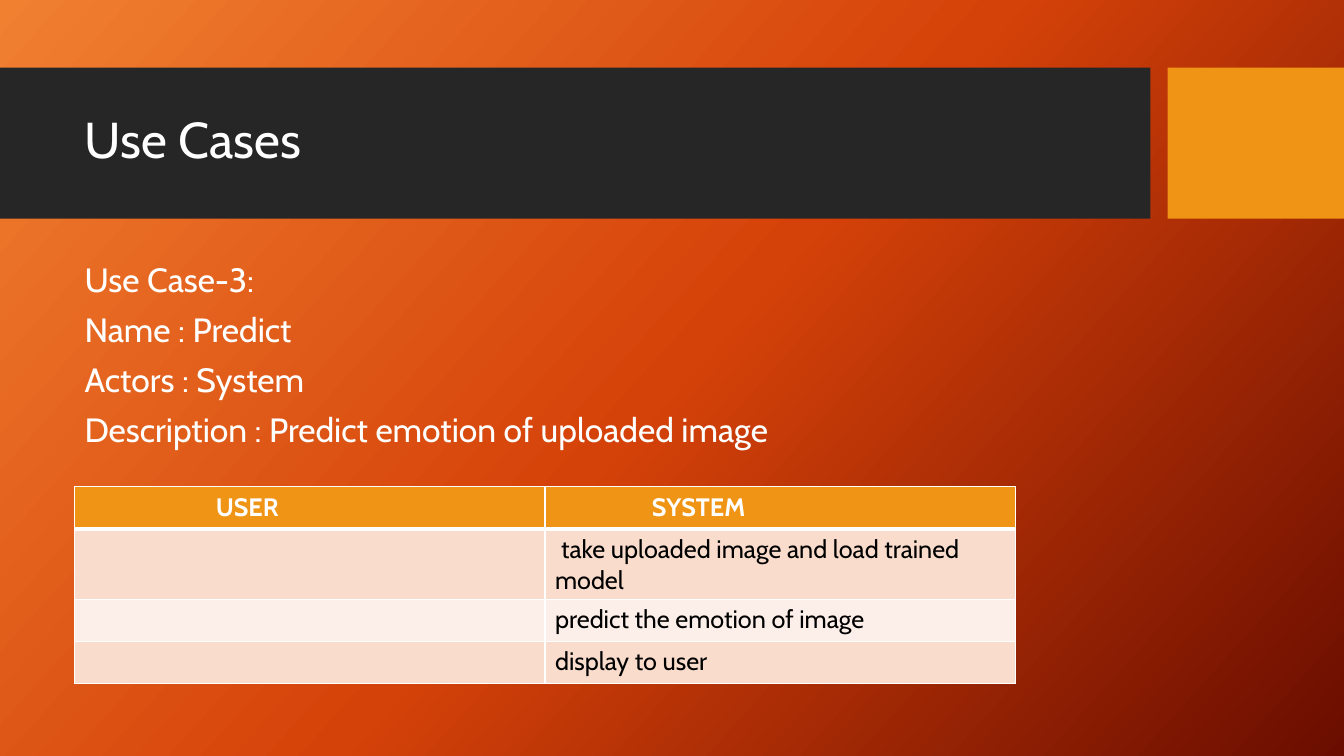
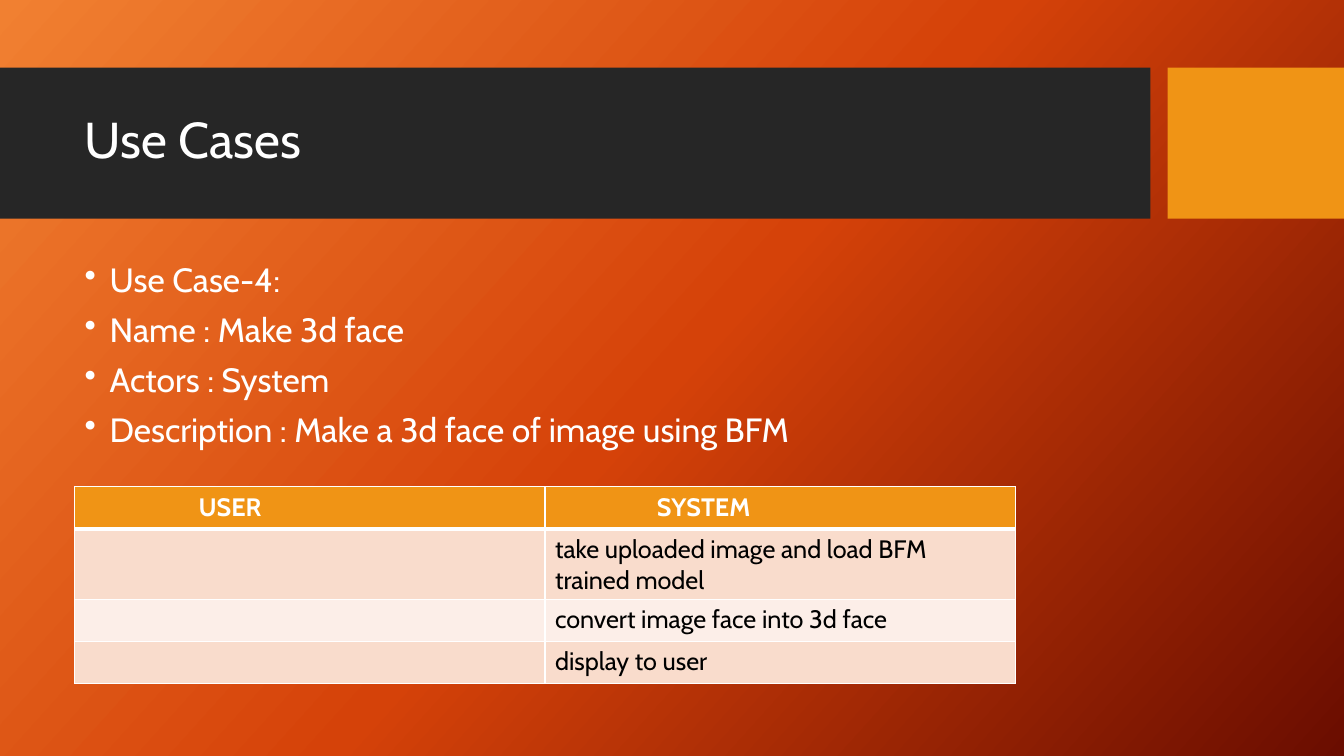
import dataclasses
import copy

import lxml.etree
import pptx
import pptx.dml.color
import pptx.enum.shapes
import pptx.enum.text
import pptx.oxml.ns
import pptx.util

Inches = pptx.util.Inches
qn = pptx.oxml.ns.qn


@dataclasses.dataclass(frozen=True)
class Theme:
    font: str = "Cabin"
    light: str = "FFFFFF"
    dark: str = "000000"
    band: str = "262626"
    accent: str = "F09415"
    row_tints: tuple = ("F9DCCC", "FCEEE8")
    backdrop: tuple = ((0, "F18031"), (0.5, "D54209"), (1, "6A0D00"))
    backdrop_angle: int = 42
    title_size: int = 36
    body_size: int = 24
    table_size: int = 18
    grid_line: int = 1
    header_line: int = 3


@dataclasses.dataclass(frozen=True)
class Box:
    left: float
    top: float
    width: float
    height: float

    def emu(self):
        return [Inches(v) for v in (self.left, self.top, self.width, self.height)]


@dataclasses.dataclass(frozen=True)
class UseCase:
    details: tuple
    headers: tuple  # (label, indent in inches)
    steps: tuple  # (system step, first-line indent in inches)
    bullet: str = ""
    details_width: float = 9.77


THEME = Theme()
SLIDE_WIDTH, SLIDE_HEIGHT = 13.33, 7.5
MARGIN = 0.74
BAND = Box(0, 0.67, SLIDE_WIDTH, 1.5)
TABLE = Box(MARGIN, 4.83, 9.33, 1.67)

USE_CASES = (
    UseCase(
        details=("Use Case-3:", "Name : Predict", "Actors : System",
                 "Description : Predict emotion of uploaded image"),
        headers=(("USER", 1.3), ("SYSTEM", 0.96)),
        steps=(("take uploaded image and load trained model", 0.06),
               ("predict the emotion of image", 0), ("display to user", 0)),
    ),
    UseCase(
        details=("Use Case-4:", "Name : Make 3d face", "Actors : System",
                 "Description : Make a 3d face of image using BFM"),
        headers=(("USER", 1.13), ("SYSTEM", 1.01)),
        steps=(("take uploaded image and load BFM trained model", 0),
               ("convert image face into 3d face", 0), ("display to user", 0)),
        bullet="•",
        details_width=11,
    ),
)


def rgb(value):
    return pptx.dml.color.RGBColor.from_string(value)


def write(paragraph, text, *, size, color=THEME.light, bold=False, line=None,
          before=None, margin=0, first_line=0, bullet=""):
    """Fill one paragraph; margin and first_line are indents in inches."""
    if line:
        paragraph.line_spacing = line
    if before:
        paragraph.space_before = pptx.util.Pt(before)
    properties = paragraph._p.get_or_add_pPr()
    properties.set("marL", str(Inches(margin)))
    properties.set("indent", str(Inches(first_line)))
    if bullet:
        lxml.etree.SubElement(properties, qn("a:buChar")).set("char", bullet)
    font = paragraph.font
    if text:
        run = paragraph.add_run()
        run.text = text
        font = run.font
    font.name = THEME.font
    font.size = pptx.util.Pt(size)
    font.bold = bold
    font.color.rgb = rgb(color)


def add_text(slide, box, lines, *, anchor=pptx.enum.text.MSO_ANCHOR.TOP, **style):
    frame = slide.shapes.add_textbox(*box.emu()).text_frame
    frame.word_wrap = True
    frame.vertical_anchor = anchor
    for index, text in enumerate(lines):
        paragraph = frame.add_paragraph() if index else frame.paragraphs[0]
        write(paragraph, text, line=0.9, before=10 if index else None, **style)


def add_block(slide, box, color):
    block = slide.shapes.add_shape(pptx.enum.shapes.MSO_SHAPE.RECTANGLE, *box.emu())
    block.shadow.inherit = False
    block.fill.solid()
    block.fill.fore_color.rgb = rgb(color)
    block.line.fill.background()


def paint_backdrop(slide):
    fill = slide.background.fill
    fill.gradient()
    fill.gradient_angle = 360 - THEME.backdrop_angle
    stop_list = slide.element.xpath(".//p:bg//a:gsLst")[0]
    while len(stop_list) < len(THEME.backdrop):
        stop_list.append(copy.deepcopy(stop_list[0]))
    for stop, (position, color) in zip(fill.gradient_stops, THEME.backdrop):
        stop.position = position
        stop.color.rgb = rgb(color)


def add_title_band(slide, box, title):
    """Dark band with the title, and an accent block at its right end."""
    accent_width, gap = 1.75, 0.17
    band_width = box.width - accent_width - gap
    add_block(slide, Box(box.left, box.top, band_width, box.height), THEME.band)
    add_block(slide, Box(box.left + box.width - accent_width, box.top,
                         accent_width, box.height), THEME.accent)
    add_text(slide, Box(box.left + MARGIN, box.top + 0.15, 10.51, 1.18), [title],
             size=THEME.title_size, anchor=pptx.enum.text.MSO_ANCHOR.MIDDLE)


def add_details(slide, box, use_case):
    hang = 0.25 if use_case.bullet else 0
    add_text(slide, box, use_case.details, size=THEME.body_size,
             margin=hang, first_line=-hang, bullet=use_case.bullet)


def style_cell(cell, fill, top, bottom):
    """Set the cell's borders (widths in points), then its fill."""
    properties = cell._tc.get_or_add_tcPr()
    side = THEME.grid_line
    for edge, width in (("L", side), ("R", side), ("T", top), ("B", bottom)):
        border = lxml.etree.SubElement(properties, qn("a:ln" + edge))
        border.set("w", str(pptx.util.Pt(width)))
        solid = lxml.etree.SubElement(border, qn("a:solidFill"))
        lxml.etree.SubElement(solid, qn("a:srgbClr")).set("val", THEME.light)
    cell.fill.solid()
    cell.fill.fore_color.rgb = rgb(fill)


def add_steps_table(slide, box, use_case):
    row_count, column_count = len(use_case.steps) + 1, len(use_case.headers)
    table = slide.shapes.add_table(row_count, column_count, *box.emu()).table
    for column in table.columns:
        column.width = Inches(box.width / column_count)
    for row in table.rows:
        row.height = Inches(box.height / row_count)

    for column, (label, indent) in enumerate(use_case.headers):
        cell = table.cell(0, column)
        style_cell(cell, THEME.accent, THEME.grid_line, THEME.header_line)
        write(cell.text_frame.paragraphs[0], label, size=THEME.table_size,
              bold=True, margin=indent)

    for row, (step, indent) in enumerate(use_case.steps, start=1):
        tint = THEME.row_tints[(row - 1) % len(THEME.row_tints)]
        top = THEME.header_line if row == 1 else THEME.grid_line
        for column, text in enumerate(("", step)):
            cell = table.cell(row, column)
            style_cell(cell, tint, top, THEME.grid_line)
            write(cell.text_frame.paragraphs[0], text, size=THEME.table_size,
                  color=THEME.dark, first_line=indent)


def add_use_case_slide(deck, use_case):
    slide = deck.slides.add_slide(deck.slide_layouts[6])
    paint_backdrop(slide)
    add_title_band(slide, BAND, "Use Cases")
    add_details(slide, Box(MARGIN, 2.56, use_case.details_width, 3.94), use_case)
    add_steps_table(slide, TABLE, use_case)


def main():
    deck = pptx.Presentation()
    deck.slide_width = Inches(SLIDE_WIDTH)
    deck.slide_height = Inches(SLIDE_HEIGHT)
    for use_case in USE_CASES:
        add_use_case_slide(deck, use_case)
    deck.save("out.pptx")


if __name__ == "__main__":
    main()
